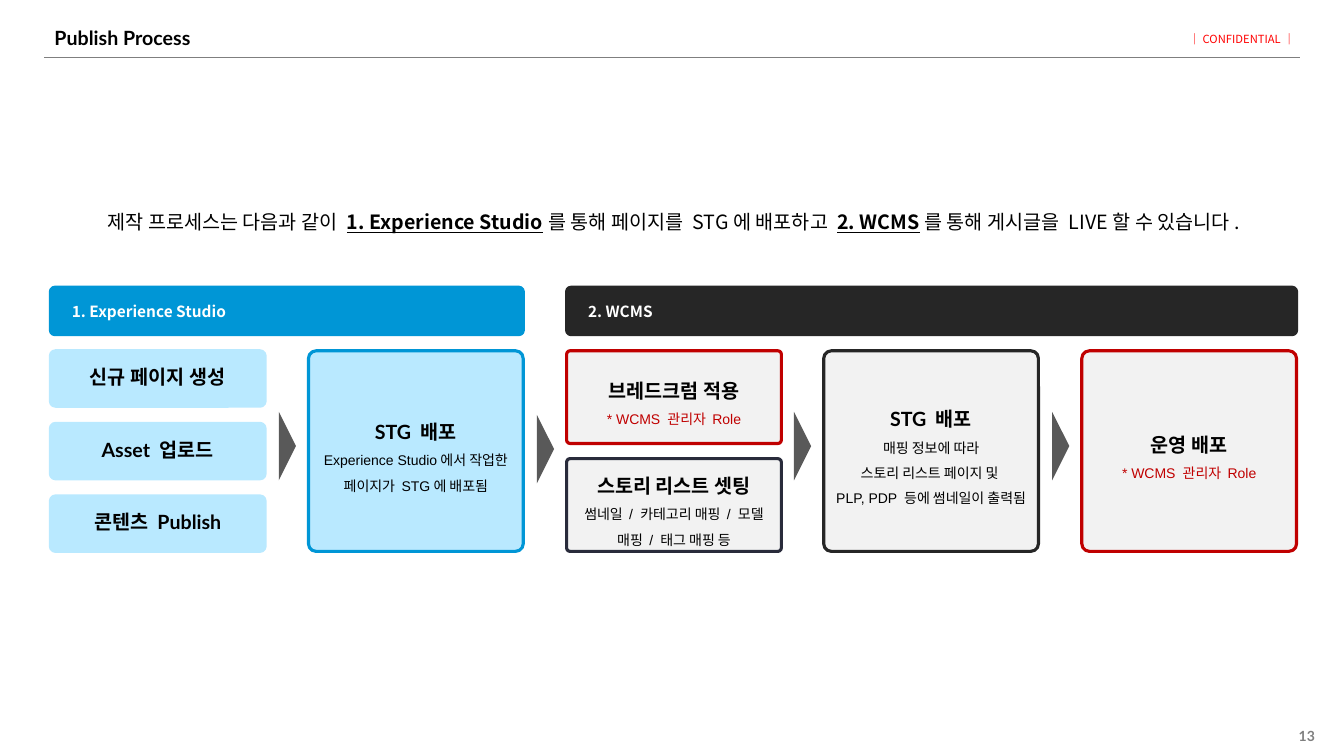
import pptx
import pptx.dml.color
import pptx.enum.shapes
import pptx.enum.text
import pptx.oxml
import pptx.oxml.ns
import pptx.util

PX = 9144
KIND = pptx.enum.shapes.MSO_SHAPE
ALIGN = pptx.enum.text.PP_ALIGN
ANCHOR = pptx.enum.text.MSO_ANCHOR
HUES = {
    "black": "000000", "white": "FFFFFF", "grey": "7F7F7F", "arrow": "595959",
    "pale": "F2F2F2", "sky": "B9E9FF", "blue": "0096D6", "dark": "262626",
    "navy": "292B3B", "red": "C00000", "alert": "FF0000",
}
KOREAN = "Noto Sans CJK KR"
COLS = [round(50 + 255.75 * i) for i in range(5)]
WIDE, TOP, TALL = 213, 348, 199


def px(*nums):
    """Turn pixel lengths into EMU."""
    return [pptx.util.Emu(n * PX) for n in nums]


def hue(name):
    """Look up a colour."""
    return pptx.dml.color.RGBColor.from_string(HUES[name])


def style(run, size, font, color="black", bold=False, under=False):
    """Set the look of one run, with the Korean face for Hangul."""
    run.font.size = pptx.util.Pt(size)
    run.font.name = font
    run.font.bold = bold
    run.font.underline = under
    run.font.color.rgb = hue(color)
    face = pptx.oxml.parse_xml(
        f'<a:ea {pptx.oxml.ns.nsdecls("a")} typeface="{KOREAN}"/>')
    run.font._element.append(face)


def write(shape, paras, align=ALIGN.LEFT, space=1.0, side=10, anchor=ANCHOR.MIDDLE):
    """Fill a shape with paragraphs, each a list of (text, style) runs."""
    frame = shape.text_frame
    frame.word_wrap = True
    frame.auto_size = pptx.enum.text.MSO_AUTO_SIZE.NONE
    frame.vertical_anchor = anchor
    frame.margin_left, frame.margin_right = px(side, side)
    frame.margin_top, frame.margin_bottom = px(5, 5)
    for i, runs in enumerate(paras):
        para = frame.add_paragraph() if i else frame.paragraphs[0]
        para.alignment, para.line_spacing = align, space
        para.space_before = pptx.util.Pt(0)
        for text, look in runs:
            for j, part in enumerate(text.split("\n")):
                if j:
                    para.add_line_break()
                run = para.add_run()
                run.text = part
                style(run, **look)


def label(slide, box, paras, **opts):
    """Add a text box."""
    write(slide.shapes.add_textbox(*px(*box)), paras, **opts)


def block(slide, box, fill, edge, curve, paras, **opts):
    """Add a rounded box with text."""
    shape = slide.shapes.add_shape(KIND.ROUNDED_RECTANGLE, *px(*box))
    shape.shadow.inherit = False
    shape.adjustments[0] = curve
    shape.fill.solid()
    shape.fill.fore_color.rgb = hue(fill)
    shape.line.color.rgb = hue(edge)
    shape.line.width = pptx.util.Pt(2.25)
    write(shape, paras, **opts)


def header(slide, box):
    """Place the title, the rule below it and the secrecy mark."""
    x, y, w, h = box
    title = slide.shapes.title
    title.left, title.top, title.width, title.height = px(*box)
    look = dict(size=14, font="Lato", bold=True)
    write(title, [[("Publish Process", look)]], space=0.9)
    rule = slide.shapes.add_connector(
        pptx.enum.shapes.MSO_CONNECTOR.STRAIGHT, *px(x, y + 36, x + w - 1, y + 36))
    rule.line.color.rgb = hue("grey")
    rule.line.width = pptx.util.Pt(0.75)
    rule._element.spPr.append(
        pptx.oxml.parse_xml(f'<a:effectLst {pptx.oxml.ns.nsdecls("a")}/>'))
    thin = dict(size=8, font=KOREAN, color="alert")
    bar = ("｜", dict(thin, bold=True))
    label(slide, (x + w - 111, y + 6, 111, 24), [[bar, ("CONFIDENTIAL", thin), bar]],
          side=0, anchor=ANCHOR.TOP, align=ALIGN.JUSTIFY)


def lead(slide, box):
    """Write the sentence that sums up the process."""
    plain = dict(size=14, font=KOREAN)
    strong = dict(plain, bold=True, under=True)
    label(slide, box, [[
        ("제작 프로세스는 다음과 같이 ", plain),
        ("1. Experience Studio", strong),
        ("를 통해 페이지를 STG에 배포하고 ", plain),
        ("2. WCMS", strong),
        ("를 통해 게시글을 LIVE할 수 있습니다.", plain),
    ]], align=ALIGN.CENTER, space=0.9)


def band(slide, box, text, fill):
    """Head a group of columns."""
    look = dict(size=11, font=KOREAN, color="white", bold=True)
    block(slide, box, fill, fill, 0.094, [[(text, look)]], side=20)


def tasks(slide, box, names):
    """Stack the first tasks evenly down a column."""
    x, y, w, h = box
    tall = 55
    step = (h - tall) // (len(names) - 1)
    look = dict(size=14, font="Lato", bold=True)
    for i, name in enumerate(names):
        block(slide, (x, y + i * step, w, tall), "sky", "sky", 0.094,
              [[(name, look)]], align=ALIGN.CENTER, space=0.9)


def card(slide, box, fill, edge, head, notes, ink="black"):
    """Show one step with a heading and notes."""
    paras = [[(head, dict(size=14, font="Lato", bold=True))]]
    paras += [[(note, dict(size=10, font="Arial", color=ink))] for note in notes]
    block(slide, box, fill, edge, 0.038, paras, align=ALIGN.CENTER, space=1.5)


def arrow(slide, x, y):
    """Point right, centred on a spot between two columns."""
    shape = slide.shapes.add_shape(KIND.ISOSCELES_TRIANGLE, *px(x - 34, y - 8, 68, 17))
    shape.rotation = 90
    shape.shadow.inherit = False
    shape.fill.solid()
    shape.fill.fore_color.rgb = hue("arrow")
    shape.line.fill.background()


def flow(slide, y, h):
    """Lay out the bands, steps and arrows of the process."""
    for text, fill, first, last in (("1. Experience Studio", "blue", 0, 1),
                                    ("2. WCMS", "dark", 2, 4)):
        wide = COLS[last] + WIDE - COLS[first]
        band(slide, (COLS[first], y - 63, wide, 47), text, fill)
    tasks(slide, (COLS[0], y, WIDE, h),
          ["신규 페이지 생성", "Asset 업로드", "콘텐츠 Publish"])
    role = ["* WCMS 관리자 Role"]
    half = 92
    card(slide, (COLS[1], y, WIDE, h), "sky", "blue", "STG 배포",
         ["Experience Studio에서 작업한", "페이지가 STG에 배포됨"])
    card(slide, (COLS[2], y, WIDE, half), "pale", "red", "브레드크럼 적용", role, "red")
    card(slide, (COLS[2], y + h - half, WIDE, half), "pale", "navy", "스토리 리스트 셋팅",
         ["썸네일 / 카테고리 매핑 / 모델 매핑 / 태그 매핑 등"])
    card(slide, (COLS[3], y, WIDE, h), "pale", "dark", "STG 배포",
         ["매핑 정보에 따라", "스토리 리스트 페이지 및 \nPLP, PDP 등에 썸네일이 출력됨"])
    card(slide, (COLS[4], y, WIDE, h), "pale", "red", "운영 배포", role, "red")
    for x, drop in zip(COLS[1:], (0, 3, 0, 0)):
        arrow(slide, x - 21, y + 94 + drop)


def footer(slide, box):
    """Write the page number."""
    look = dict(size=10, font="Lato", color="grey", bold=True)
    label(slide, box, [[("13", look)]], align=ALIGN.RIGHT)


def main():
    """Build the slide and save it."""
    deck = pptx.Presentation()
    deck.slide_width, deck.slide_height = px(1333, 750)
    slide = deck.slides.add_slide(deck.slide_layouts[5])
    header(slide, (44, 21, 1246, 35))
    lead(slide, (92, 204, 1153, 35))
    flow(slide, TOP, TALL)
    footer(slide, (1014, 720, 300, 20))
    deck.save("out.pptx")


if __name__ == "__main__":
    main()
